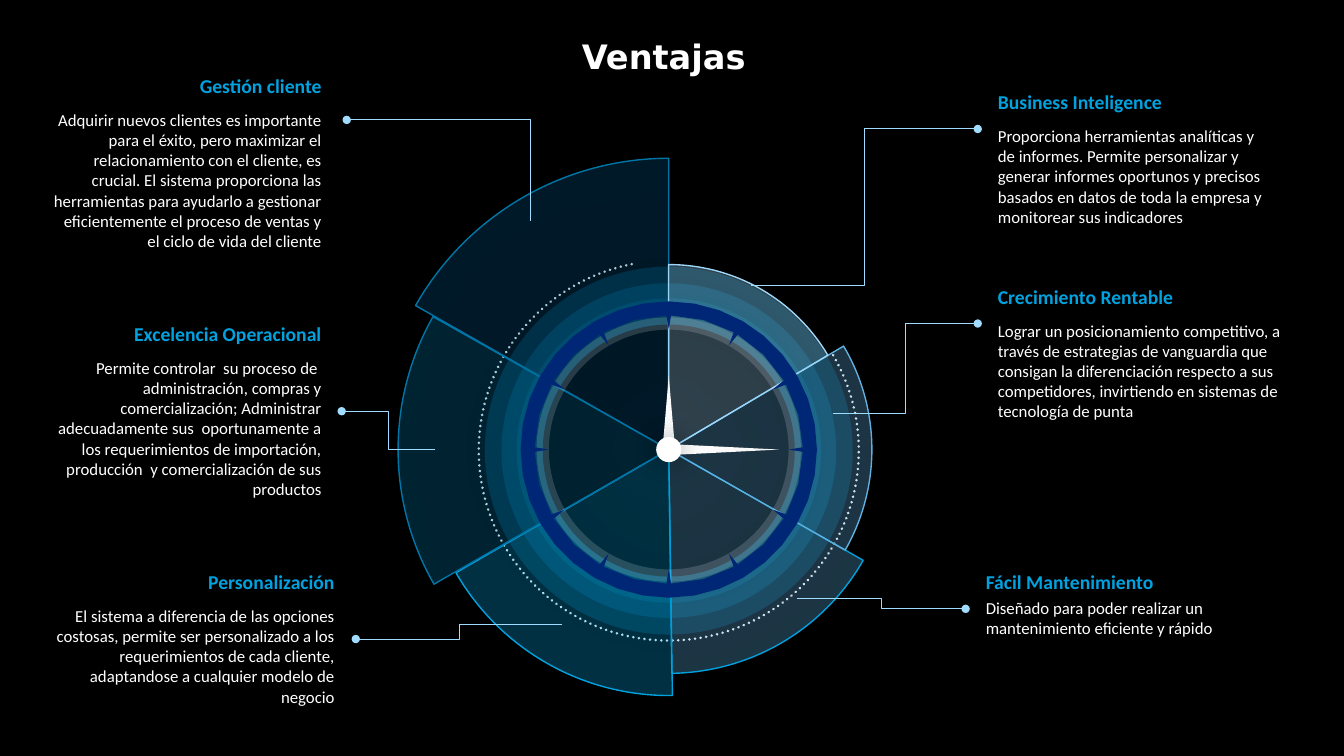
from math import cos, radians, sin

from lxml.etree import SubElement
from pptx import Presentation
from pptx.dml.color import RGBColor
from pptx.enum.dml import MSO_LINE
from pptx.enum.shapes import MSO_CONNECTOR as Link, MSO_SHAPE as Preset
from pptx.enum.text import MSO_ANCHOR as Anchor, MSO_AUTO_SIZE as AutoSize, PP_ALIGN as Align
from pptx.oxml.ns import qn
from pptx.util import Inches, Pt

WHITE, BLACK, NAVY = "FFFFFF", "000000", "002776"
ACCENT, PALE, TEAL = "00A3E0", "A0DCFF", "0079A6"

HALOS = [(3.65, TEAL, 30), (3.32, TEAL, 30), (3.02, TEAL, 30), (2.74, BLACK, 20), (2.5, BLACK, 100)]
SECTORS = [
    (4.44, 29.67, 89.21, "62B5E5", ACCENT),
    (4.03, 329.4, 29.7, "62B5E5", "62B5E5"),
    (4.88, 89.15, 149.93, ACCENT, ACCENT),
    (5.37, 150.17, 209.42, "0076A8", "0076A8"),
    (5.78, 209.62, 270, "005587", "0076A8"),
    (3.67, 269.91, 329.35, PALE, PALE),
]

CALLOUTS = [
    ((9.7, 0.87, 2.95, 1.42), Align.LEFT, "Business Inteligence",
     "Proporciona herramientas analíticas y de informes. Permite personalizar y generar informes "
     "oportunos y precisos basados en datos de toda la empresa y monitorear sus indicadores",
     5.6, (7.45, 2.83), (9.7, 1.28), 0.5),
    ((9.7, 2.8, 3.13, 1.71), Align.LEFT, "Crecimiento Rentable",
     "Lograr un posicionamiento competitivo, a través de estrategias de vanguardia que consigan la "
     "diferenciación respecto a sus competidores, invirtiendo en sistemas de tecnología de punta",
     5.6, (8.26, 4.1), (9.7, 3.21), 0.5),
    ((9.58, 5.63, 3.24, 0.73), Align.LEFT, "Fácil Mantenimiento",
     "Diseñado para poder realizar un mantenimiento eficiente y rápido",
     0, (7.91, 5.94), (9.58, 6.04), 0.5),
    ((0.44, 5.63, 3.08, 1.42), Align.RIGHT, "Personalización",
     "El sistema a diferencia de las opciones costosas, permite ser personalizado a los "
     "requerimientos de cada cliente, adaptandose a cualquier modelo de negocio",
     5.6, (5.58, 6.2), (3.53, 6.34), 0.5),
    ((0.44, 3.17, 2.95, 1.83), Align.RIGHT, "Excelencia Operacional",
     "Permite controlar  su proceso de  administración, compras y comercialización; Administrar "
     "adecuadamente sus  oportunamente a los requerimientos de importación, producción  y "
     "comercialización de sus productos",
     5.6, (4.32, 4.46), (3.39, 4.08), 0.5),
    ((0.44, 0.71, 2.95, 1.83), Align.RIGHT, "Gestión cliente",
     "Adquirir nuevos clientes es importante para el éxito, pero maximizar el relacionamiento con el "
     "cliente, es crucial. El sistema proporciona las herramientas para ayudarlo a gestionar "
     "eficientemente el proceso de ventas y el ciclo de vida del cliente",
     5.6, (5.26, 2.19), (3.44, 1.19), 0),
]


def colour(target, value):
    """Give a fill or a line's fill one solid hex colour."""
    target.solid()
    target.fore_color.rgb = RGBColor.from_string(value)


def add_alpha(parent, opacity):
    """Set the opacity, in percent, of the solid fill inside an element."""
    if opacity < 100:
        SubElement(parent.find(qn("a:solidFill"))[0], qn("a:alpha")).set("val", str(opacity * 1000))


def paint(shape, fill=None, opacity=100, line=None, width=1, line_opacity=100):
    """Set the fill and outline of a shape and drop its shadow."""
    shape.shadow.inherit = False
    properties = shape._element.spPr
    if fill:
        colour(shape.fill, fill)
        add_alpha(properties, opacity)
    else:
        shape.fill.background()
    if line:
        colour(shape.line.fill, line)
        shape.line.width = Pt(width)
        add_alpha(properties.find(qn("a:ln")), line_opacity)
    else:
        shape.line.fill.background()


def add_glow(shape, blur):
    """Add a soft centred black shadow, blurred by the given points."""
    effects = shape._element.spPr.find(qn("a:effectLst"))
    shadow = SubElement(effects, qn("a:outerShdw"), blurRad=str(Pt(blur)), dist="0", dir="0",
                        algn="ctr", rotWithShape="0")
    black = SubElement(shadow, qn("a:srgbClr"), val=BLACK)
    SubElement(black, qn("a:alpha"), val="40000")


def add_centred(page, preset, centre, width, height, angles=()):
    """Place a preset shape around a centre, with optional start and end degrees."""
    x, y = centre
    shape = page.shapes.add_shape(preset, Inches(x - width / 2), Inches(y - height / 2),
                                  Inches(width), Inches(height))
    for index, angle in enumerate(angles):
        shape.adjustments[index] = angle * 0.6
    return shape


def add_frame(page, centre):
    """Draw the clock rim with a notch at each of the twelve hours."""
    def at(radius, angle):
        return (Inches(centre[0] + radius * cos(radians(angle))),
                Inches(centre[1] + radius * sin(radians(angle))))

    rim = [at(1.47, angle) for angle in range(0, 360, 10)]
    inner = []
    for hour in range(0, 360, 30):
        inner.append(at(1.19, hour))
        inner += [at(1.33, hour + step) for step in (1, 15, 29)]
    builder = page.shapes.build_freeform(*rim[0])
    builder.add_line_segments(rim[1:])
    builder.move_to(*inner[0])
    builder.add_line_segments(inner[1:])
    frame = builder.convert_to_shape()
    paint(frame, NAVY)
    add_glow(frame, 86)


def add_dial(page, box):
    """Draw the clock, its halos and its six sectors, centred in the box."""
    left, top, width, height = box
    x, y = centre = left + width / 2, top + height / 2
    dots = add_centred(page, Preset.ARC, (x, y + 0.01), 3.77, 3.77, (329.9, 259.8))
    paint(dots, line=WHITE, width=2)
    dots.line.dash_style = MSO_LINE.ROUND_DOT
    dots._element.spPr.find(qn("a:ln")).set("cap", "rnd")
    for size, fill, opacity in HALOS:
        paint(add_centred(page, Preset.OVAL, (x, y + 0.01), size, size), fill, opacity)
    for size, start, end, fill, line in SECTORS:
        sector = add_centred(page, Preset.PIE, centre, size, size, (start, end))
        paint(sector, fill, 30, line)
    minute = add_centred(page, Preset.ISOSCELES_TRIANGLE, (x + 0.55, y), 0.11, 1.09)
    minute.rotation = 90
    paint(minute, WHITE)
    ring = add_centred(page, Preset.OVAL, centre, 2.5, 2.5)
    paint(ring, line=WHITE, width=8.75, line_opacity=16)
    paint(add_centred(page, Preset.ISOSCELES_TRIANGLE, (x, y - 0.41), 0.11, 0.64), WHITE)
    add_frame(page, centre)
    hub = add_centred(page, Preset.OVAL, centre, 0.25, 0.25)
    paint(hub, WHITE)
    add_glow(hub, 19)


def add_span(para, text, size, font, value, bold):
    """Append one formatted run to a paragraph."""
    span = para.add_run()
    span.text = text
    span.font.size, span.font.name, span.font.bold = Pt(size), font, bold
    colour(span.font.fill, value)


def add_leader(page, start, end, bend):
    """Draw an elbow line that ends in a dot and turns at the given share."""
    leader = page.shapes.add_connector(Link.ELBOW, *map(Inches, start + end))
    colour(leader.line.fill, PALE)
    leader.line.width = Pt(0.75)
    properties = leader._element.spPr
    SubElement(properties.find(qn("a:ln")), qn("a:tailEnd"), type="oval")
    SubElement(properties, qn("a:effectLst"))
    guides = properties.find(qn("a:prstGeom")).find(qn("a:avLst"))
    SubElement(guides, qn("a:gd"), name="adj1", fmla=f"val {int(bend * 100000)}")


def add_callout(page, box, align, heading, body, gap):
    """Write a heading and its description in the box."""
    frame = page.shapes.add_textbox(*map(Inches, box)).text_frame
    frame.word_wrap, frame.auto_size = True, AutoSize.SHAPE_TO_FIT_TEXT
    margins = (0.2, 0.05) if align == Align.LEFT else (0.05, 0.2)
    frame.margin_left, frame.margin_right = map(Inches, margins)
    frame.margin_top = frame.margin_bottom = Pt(1.8)
    title, para = frame.paragraphs[0], frame.add_paragraph()
    title.alignment = para.alignment = align
    title.space_after, para.space_before = Pt(3), Pt(gap)
    add_span(title, heading, 14, "Calibri", ACCENT, True)
    add_span(para, body, 12, "Calibri", WHITE, False)


def add_title(page, box, text):
    """Write the centred slide title in the box."""
    frame = page.shapes.add_textbox(*map(Inches, box)).text_frame
    frame.word_wrap, frame.vertical_anchor = True, Anchor.MIDDLE
    para = frame.paragraphs[0]
    para.alignment, para.line_spacing = Align.CENTER, 0.9
    add_span(para, text, 24, "DejaVu Sans", WHITE, True)


def main():
    """Build the slide and save the deck."""
    deck = Presentation()
    deck.slide_width, deck.slide_height = Inches(40 / 3), Inches(7.5)
    page = deck.slides.add_slide(deck.slide_layouts[6])
    colour(page.background.fill, BLACK)
    add_dial(page, (3.74, 1.57, 5.79, 5.78))
    for box, align, heading, body, gap, start, end, bend in CALLOUTS:
        add_callout(page, box, align, heading, body, gap)
        add_leader(page, start, end, bend)
    add_title(page, (0.43, 0.4, 12.31, 0.36), "Ventajas")
    deck.save("out.pptx")


if __name__ == "__main__":
    main()
